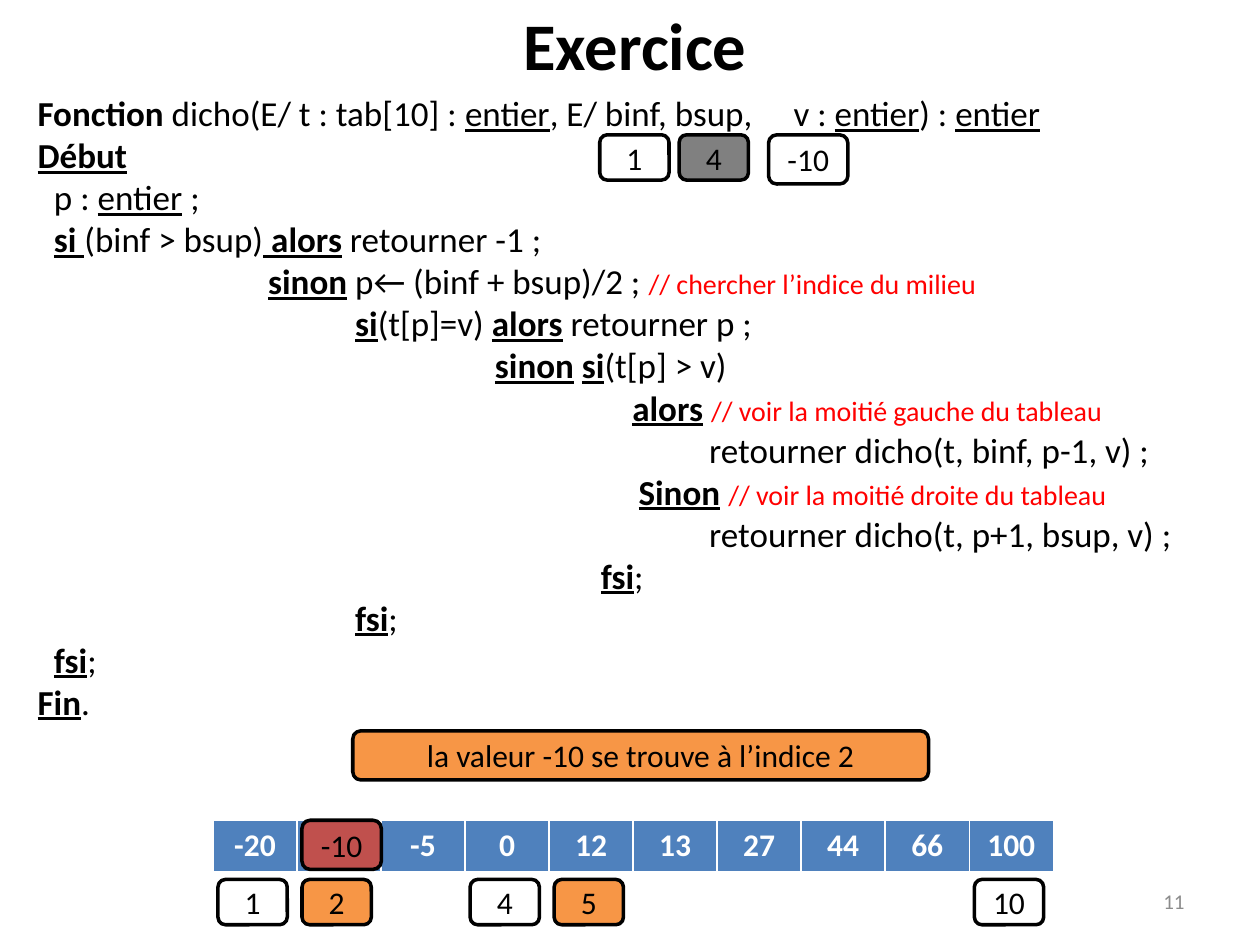
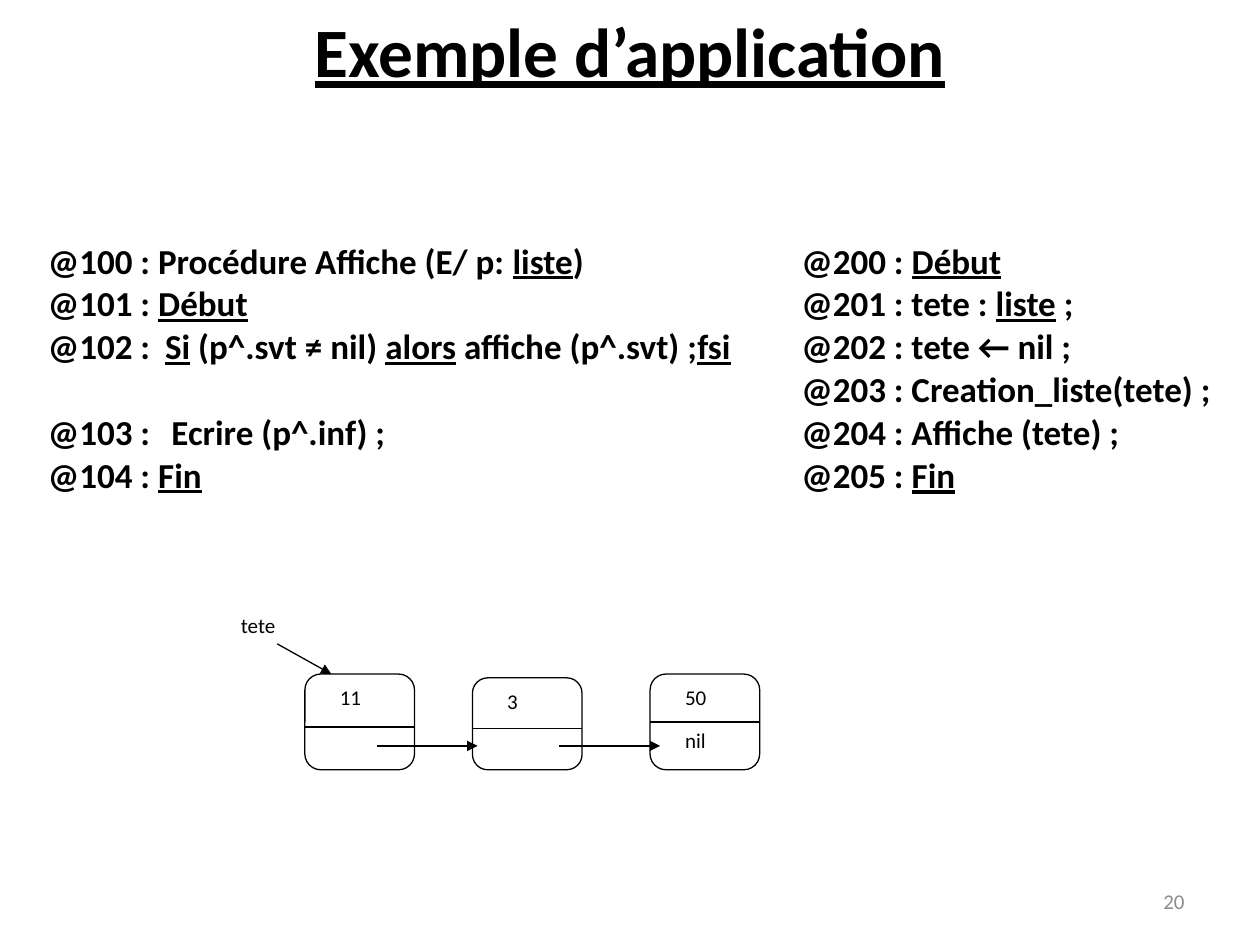
"""Builds two lecture slides: a recursive binary search and a linked list display."""
from itertools import groupby

from lxml import etree
from pptx import Presentation
from pptx import util as u
from pptx.dml.color import RGBColor
from pptx.enum import shapes, text
from pptx.oxml import ns

SLIDE_WIDTH, SLIDE_HEIGHT = u.Inches(10), u.Inches(7.5)
COLUMN, ROW = SLIDE_WIDTH / 100, SLIDE_HEIGHT / 75
TITLE_ONLY = 5
COLORS = {
    "text": "000000", "paper": "FFFFFF", "comment": "FF0000", "number": "8C8C8C",
    "array": "4F81BD", "found": "F79646", "hit": "C0504D", "dropped": "808080",
}
MARKS = {
    "*": {"bold": True},
    "|": {"underline": True},
    "#": {"color": "comment", "size": u.Pt(16)},
}
CODE = {"size": u.Pt(20)}
BADGE = {"size": u.Pt(18)}
NODE = {"size": u.Pt(12)}
SMALL_BADGE, LARGE_BADGE = (5.5, 3.6), (6.3, 3.9)
ARRAY = ["-20", "-10", "-5", "0", "12", "13", "27", "44", "66", "100"]
ARRAY_LEFT, ARRAY_TOP, ARRAY_CELL, BADGE_NUDGE = 16.9, 65.1, 6.67, 0.4

SEARCH_CODE = [
    (0, "*Fonction* dicho(E/ t : tab[10] : |entier|, E/ binf, bsup,\tv : |entier|) : |entier|"),
    (0, "*|Début|*"),
    (1.3, "p : |entier| ;"),
    (1.3, "*|si |*(binf > bsup)| *alors*| retourner -1 ;"),
    (18.3, "*|sinon|* p← (binf + bsup)/2 ; #// chercher l’indice du milieu#"),
    (25.2, "*|si|*(t[p]=v) *|alors|* retourner p ;"),
    (36.3, "*|sinon|* *|si|*(t[p] > v)"),
    (47.2, "*|alors|* #// voir la moitié gauche du tableau#"),
    (53.3, "retourner dicho(t, binf, p-1, v) ;"),
    (47.7, "*|Sinon|* #// voir la moitié droite du tableau#"),
    (53.3, "retourner dicho(t, p+1, bsup, v) ;"),
    (44.7, "*|fsi|*;"),
    (25.2, "*|fsi|*;"),
    (1.3, "*|fsi|*;"),
    (0, "*|Fin|*."),
]
DISPLAY_CODE = [
    "@100 : Procédure Affiche (E/ p: |liste|)",
    "@101 : |Début|",
    "@102 :\t|Si| (p^.svt ≠ nil) |alors| affiche (p^.svt) ;|fsi|",
    "@103 :\tEcrire (p^.inf) ;",
    "@104 : |Fin|",
]
MAIN_CODE = [
    "@200 : |Début|",
    "@201 : tete : |liste| ;",
    "@202 : tete ← nil ;",
    "@203 : Creation_liste(tete) ;",
    "@204 : Affiche (tete) ;",
    "@205 : |Fin|",
]


def rgb(name):
    """Return the named colour."""
    return RGBColor.from_string(COLORS[name])


def place(left, top, width, height):
    """Turn grid columns and rows into a position and size."""
    return [round(left * COLUMN), round(top * ROW), round(width * COLUMN), round(height * ROW)]


def set_values(target, values):
    """Set each attribute in a dict of format values."""
    for name, value in values.items():
        setattr(target, name, value)


def add_runs(paragraph, marked, style):
    """Write text whose mark characters switch formats on and off."""
    active = set()
    for is_mark, characters in groupby(marked, key=lambda character: character in MARKS):
        if is_mark:
            active ^= set(characters)
            continue
        values = {"name": "Calibri", "color": "text", "bold": False, **style}
        for mark in active:
            values.update(MARKS[mark])
        run = paragraph.add_run()
        run.text = "".join(characters)
        run.font.color.rgb = rgb(values.pop("color"))
        set_values(run.font, values)


def write(frame, lines, style, align=text.PP_ALIGN.LEFT, **spacing):
    """Fill a text frame with one paragraph per line and return the paragraphs."""
    for number, line in enumerate(lines):
        paragraph = frame.add_paragraph() if number else frame.paragraphs[0]
        set_values(paragraph, {"alignment": align, **spacing})
        add_runs(paragraph, line, style)
    return frame.paragraphs


def set_indent(paragraph, columns):
    """Indent a paragraph by grid columns."""
    properties = paragraph._p.get_or_add_pPr()
    properties.set("marL", str(round(columns * COLUMN)))
    properties.set("indent", "0")


def set_tab(paragraph, columns):
    """Give a paragraph one left tab stop."""
    stops = etree.SubElement(paragraph._p.get_or_add_pPr(), ns.qn("a:tabLst"))
    etree.SubElement(stops, ns.qn("a:tab"), pos=str(round(columns * COLUMN)), algn="l")


def add_text(slide, box, lines, style, anchor=text.MSO_ANCHOR.TOP, **options):
    """Add a wrapping text box and return its paragraphs."""
    frame = slide.shapes.add_textbox(*place(*box)).text_frame
    set_values(frame, {"word_wrap": True, "vertical_anchor": anchor})
    return write(frame, lines, style, **options)


def add_titled_slide(presentation, title, box, style, number):
    """Add a slide with its title and slide number."""
    slide = presentation.slides.add_slide(presentation.slide_layouts[TITLE_ONLY])
    holder = slide.shapes.title
    set_values(holder, dict(zip(("left", "top", "width", "height"), place(*box))))
    set_values(holder.text_frame, {
        "vertical_anchor": text.MSO_ANCHOR.MIDDLE, "auto_size": text.MSO_AUTO_SIZE.NONE,
    })
    write(holder.text_frame, [title], {"bold": True, **style}, text.PP_ALIGN.CENTER)
    add_text(slide, (71.7, 69.5, 23.3, 4), [number], {"size": u.Pt(12), "color": "number"},
             text.MSO_ANCHOR.MIDDLE, align=text.PP_ALIGN.RIGHT)
    return slide


def add_rounded(slide, box, fill="paper", line_width=None):
    """Add a rounded rectangle and return its text frame."""
    shape = slide.shapes.add_shape(shapes.MSO_SHAPE.ROUNDED_RECTANGLE, *place(*box))
    shape.shadow.inherit = False
    shape.fill.solid()
    shape.fill.fore_color.rgb = rgb(fill)
    if line_width:
        shape.line.color.rgb = rgb("text")
        shape.line.width = u.Pt(line_width)
    else:
        shape.line.fill.background()
    shape.text_frame.word_wrap = True
    return shape.text_frame


def add_badge(slide, left, top, label, size=SMALL_BADGE, fill="paper"):
    """Add a heavily outlined box with a centred value."""
    frame = add_rounded(slide, (left, top, *size), fill, 2)
    frame.vertical_anchor = text.MSO_ANCHOR.MIDDLE
    write(frame, [label], BADGE, text.PP_ALIGN.CENTER)


def add_line(slide, start, end, arrow=False):
    """Add a thin straight line, with an arrowhead if asked."""
    points = [round(value * unit) for point in (start, end)
              for value, unit in zip(point, (COLUMN, ROW))]
    connector = slide.shapes.add_connector(shapes.MSO_CONNECTOR.STRAIGHT, *points)
    connector.line.color.rgb = rgb("text")
    connector.line.width = u.Pt(0.75)
    if arrow:
        etree.SubElement(connector.line._get_or_add_ln(), ns.qn("a:tailEnd"), type="triangle")
    etree.SubElement(connector._element.spPr, ns.qn("a:effectLst"))


def add_row_table(slide, box, widths):
    """Add a one-row table and return its cells."""
    table = slide.shapes.add_table(1, len(widths), *place(*box)).table
    for column, width in zip(table.columns, widths):
        column.width = round(width * COLUMN)
    return list(table.rows[0].cells)


def add_node(slide, left, top, divider, lines):
    """Add a list node split into a value and a link."""
    width, bottom = 8.7, 61.1
    frame = add_rounded(slide, (left, top, width, bottom - top), line_width=0.75)
    set_values(frame, {"margin_left": round(2.4 * COLUMN),
                       "vertical_anchor": text.MSO_ANCHOR.TOP})
    write(frame, lines, NODE, space_after=u.Pt(10))
    add_line(slide, (left, divider), (left + width, divider))


def build_search(presentation):
    """Build the binary search exercise."""
    slide = add_titled_slide(presentation, "Exercice", (2, 0, 96.8, 6.9),
                             {"size": u.Pt(38)}, "11")
    paragraphs = add_text(slide, (2, 6.8, 96.5, 51.5), [line for _, line in SEARCH_CODE],
                          CODE, line_spacing=u.Pt(24))
    for paragraph, (indent, _) in zip(paragraphs, SEARCH_CODE):
        set_indent(paragraph, indent)
    set_tab(paragraphs[0], 60.6)

    cells = add_row_table(slide, (ARRAY_LEFT, ARRAY_TOP, ARRAY_CELL * len(ARRAY), 4.1),
                          [ARRAY_CELL] * len(ARRAY))
    for cell, value in zip(cells, ARRAY):
        cell.fill.solid()
        cell.fill.fore_color.rgb = rgb("array")
        write(cell.text_frame, [value], {**BADGE, "color": "paper", "bold": True},
              text.PP_ALIGN.CENTER)

    for index, fill in ((1, "paper"), (2, "found"), (4, "paper"), (5, "found"), (10, "paper")):
        left = ARRAY_LEFT + (index - 1) * ARRAY_CELL + BADGE_NUDGE
        add_badge(slide, left, 69.8, str(index), fill=fill)
    add_badge(slide, ARRAY_LEFT + ARRAY_CELL + BADGE_NUDGE, ARRAY_TOP, "-10", LARGE_BADGE, "hit")

    add_badge(slide, 47.6, 10.7, "1")
    add_badge(slide, 53.9, 10.7, "4", fill="dropped")
    add_badge(slide, 61, 10.7, "-10", LARGE_BADGE)
    add_badge(slide, 28, 58, "la valeur -10 se trouve à l’indice 2", (45.7, 3.9), "found")


def build_list(presentation):
    """Build the linked list example."""
    slide = add_titled_slide(presentation, "Exemple d’application", (5, 0.5, 90, 6.9),
                             {"size": u.Pt(39.6), "underline": True}, "20")
    cells = add_row_table(slide, (2.8, 18.6, 94.8, 21), (59.8, 35))
    for cell, lines in zip(cells, (DISPLAY_CODE, MAIN_CODE)):
        cell.fill.background()
        write(cell.text_frame, lines, {**CODE, "bold": True})
    condition, output = cells[0].text_frame.paragraphs[2:4]
    condition.space_after = u.Pt(24.4)
    set_tab(condition, 9.3)
    set_tab(output, 9.8)

    add_node(slide, 24.2, 53.5, 57.7, ["11"])
    add_node(slide, 37.5, 53.8, 57.8, ["3"])
    add_node(slide, 51.6, 53.5, 57.3, ["50", "nil"])
    for left in (29.9, 44.4):
        add_line(slide, (left, 59.2), (left + 8, 59.2), arrow=True)

    head = add_rounded(slide, (18.5, 48.5, 5.6, 2.6))
    set_values(head, {"margin_left": round(0.5 * COLUMN), "margin_right": 0, "margin_top": 0,
                      "margin_bottom": 0, "vertical_anchor": text.MSO_ANCHOR.TOP})
    write(head, ["tete"], NODE)
    add_line(slide, (22, 51.1), (26.3, 53.5), arrow=True)


def main():
    """Build and save the presentation."""
    presentation = Presentation()
    set_values(presentation, {"slide_width": SLIDE_WIDTH, "slide_height": SLIDE_HEIGHT})
    build_search(presentation)
    build_list(presentation)
    presentation.save("out.pptx")


if __name__ == "__main__":
    main()
